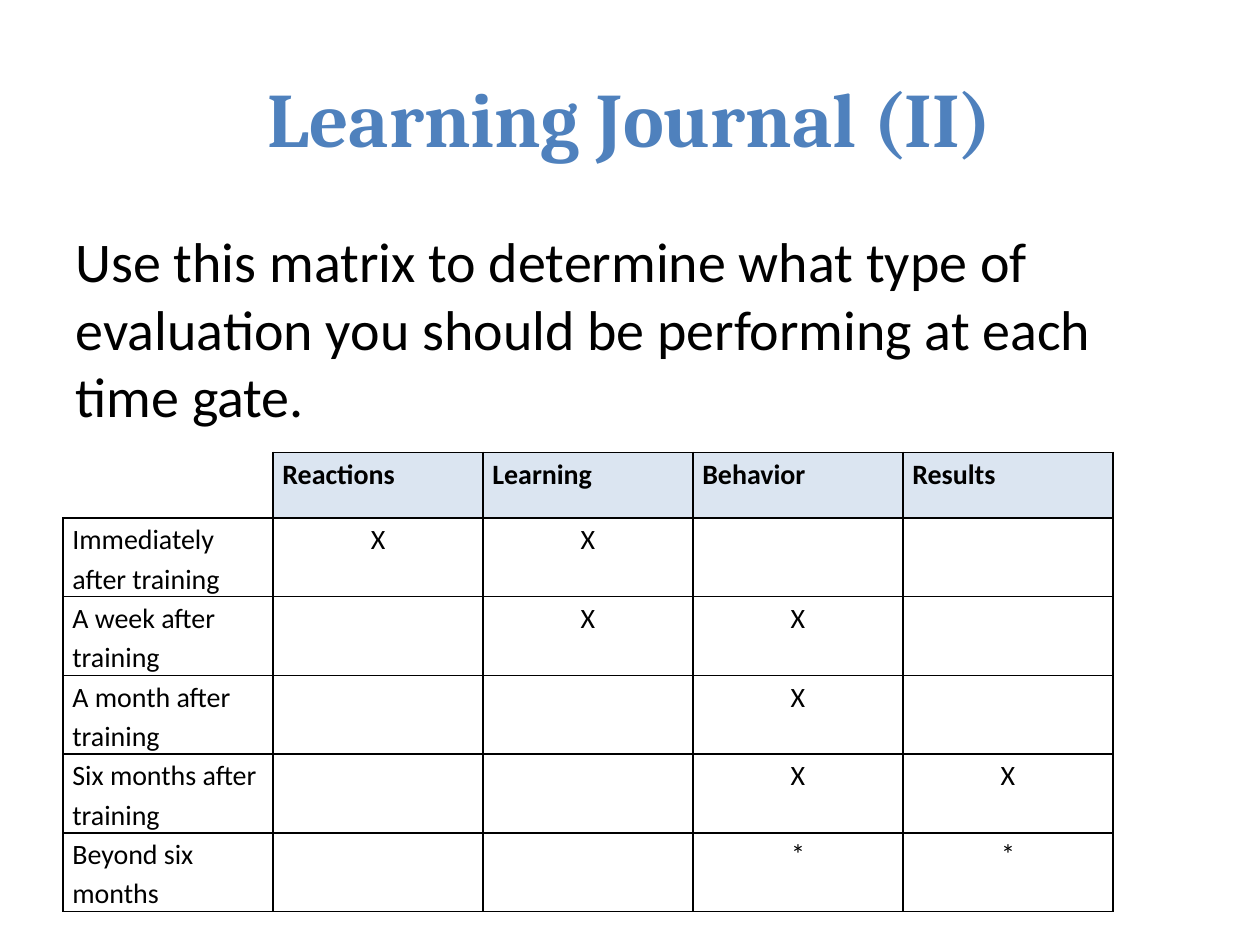
import lxml.etree
import pptx
import pptx.dml.color
import pptx.enum.text
import pptx.oxml.ns
import pptx.util

Pt = pptx.util.Pt
ALIGN = pptx.enum.text.PP_ALIGN

BLACK = "000000"
TITLE_BLUE = "4F81BD"
HEADER_FILL = "DBE5F1"

LEFT = 36
COLUMN_WIDTH = 120
ROW_HEIGHT = 37.5

MATRIX = [
    ["", "Reactions", "Learning", "Behavior", "Results"],
    ["Immediately after training", "X", "X", "", ""],
    ["A week after training", "", "X", "X", ""],
    ["A month after training", "", "", "X", ""],
    ["Six months after training", "", "", "X", "X"],
    ["Beyond six months", "", "", "*", "*"],
]


def rgb(hex_color):
    return pptx.dml.color.RGBColor.from_string(hex_color)


def style_font(paragraph, name, size, color, bold=False):
    font = paragraph.font
    font.name = name
    font.size = Pt(size)
    font.bold = bold
    font.color.rgb = rgb(color)


def place(placeholder, top, height):
    placeholder.left, placeholder.top = Pt(LEFT), Pt(top)
    placeholder.width, placeholder.height = Pt(648), Pt(height)


def add_title(slide, text):
    title = slide.shapes.title
    place(title, 21.6, 90)
    title.text_frame.text = text
    title.text_frame.vertical_anchor = pptx.enum.text.MSO_ANCHOR.MIDDLE
    heading = title.text_frame.paragraphs[0]
    heading.alignment = ALIGN.CENTER
    style_font(heading, "Cambria", 44, TITLE_BLUE, bold=True)


def add_instruction(slide, text):
    body = slide.placeholders[1]
    place(body, 126, 356.4)
    body.text_frame.text = text
    instruction = body.text_frame.paragraphs[0]
    style_font(instruction, "Calibri", 32, BLACK)
    properties = instruction._p.get_or_add_pPr()
    properties.set("marL", "0")
    properties.set("indent", "0")
    bullet_off = lxml.etree.Element(pptx.oxml.ns.qn("a:buNone"))
    properties.insert_element_before(bullet_off, "a:tabLst", "a:defRPr", "a:extLst")


def set_borders(cell, drawn_sides):
    """Draw thin black lines on the given sides (of L, R, T, B), none on the others."""
    qn = pptx.oxml.ns.qn
    properties = cell._tc.get_or_add_tcPr()
    for side in "LRTB":
        line = lxml.etree.SubElement(properties, qn(f"a:ln{side}"), w=str(Pt(1)))
        if side in drawn_sides:
            fill = lxml.etree.SubElement(line, qn("a:solidFill"))
            lxml.etree.SubElement(fill, qn("a:srgbClr"), val=BLACK)
        else:
            lxml.etree.SubElement(line, qn("a:noFill"))


def write_cell(cell, text, centered, bold):
    cell.margin_left = cell.margin_right = Pt(5.4)
    cell.margin_top = cell.margin_bottom = 0
    cell.text = text
    entry = cell.text_frame.paragraphs[0]
    entry.alignment = ALIGN.CENTER if centered else ALIGN.LEFT
    entry.line_spacing = 1.15
    entry.space_after = Pt(10)
    style_font(entry, "Calibri", 16, BLACK, bold)


def add_matrix(slide, rows):
    row_count, column_count = len(rows), len(rows[0])
    matrix = slide.shapes.add_table(
        row_count, column_count, Pt(LEFT), Pt(258.5),
        Pt(COLUMN_WIDTH * column_count), Pt(ROW_HEIGHT * row_count),
    ).table
    matrix.first_row = matrix.horz_banding = False
    for r, row in enumerate(rows):
        for c, text in enumerate(row):
            cell = matrix.cell(r, c)
            is_header, is_mark = r == 0, r > 0 and c > 0
            is_corner = r == 0 and c == 0
            set_borders(cell, "RB" if is_corner else "LRTB")
            if is_header and not is_corner:
                cell.fill.solid()
                cell.fill.fore_color.rgb = rgb(HEADER_FILL)
            else:
                cell.fill.background()
            if text:
                write_cell(cell, text, is_mark, is_header)


def main():
    deck = pptx.Presentation()
    deck.slide_width, deck.slide_height = Pt(720), Pt(540)
    slide = deck.slides.add_slide(deck.slide_layouts[1])
    add_title(slide, "Learning Journal (II)")
    add_instruction(
        slide,
        "Use this matrix to determine what type of evaluation "
        "you should be performing at each time gate.",
    )
    add_matrix(slide, MATRIX)
    deck.save("out.pptx")


if __name__ == "__main__":
    main()
